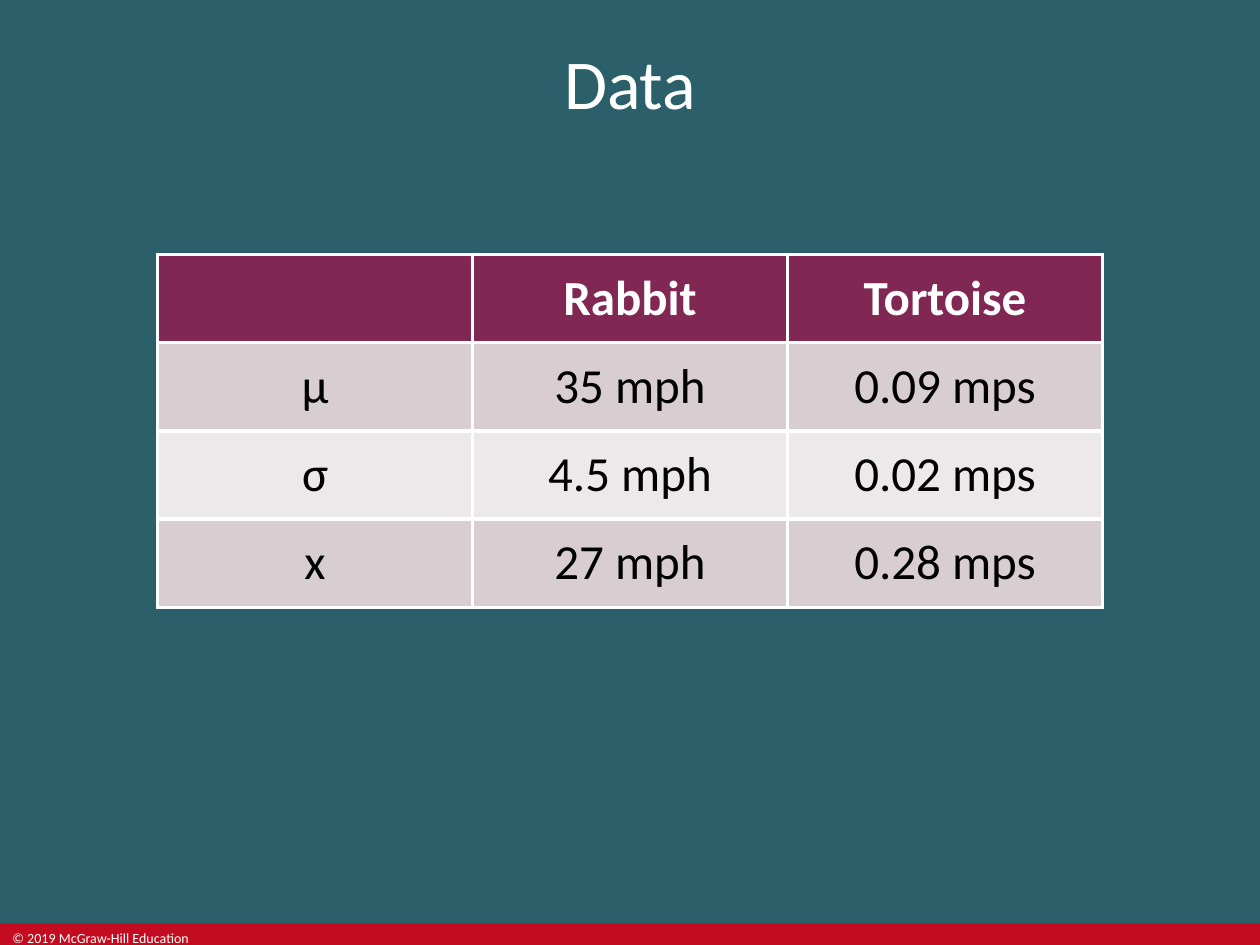
from lxml import etree
from pptx import Presentation
from pptx.dml.color import RGBColor
from pptx.enum import shapes, text
from pptx.oxml import ns
from pptx.util import Inches, Pt

TITLE = "Data"
COPYRIGHT = "© 2019 McGraw-Hill Education"
ROWS = [
    ("", "Rabbit", "Tortoise"),
    ("μ", "35 mph", "0.09 mps"),
    ("σ", "4.5 mph", "0.02 mps"),
    ("x", "27 mph", "0.28 mps"),
]

TEAL = RGBColor(0x2B, 0x60, 0x6A)
RED = RGBColor(0xC3, 0x0C, 0x20)
PLUM = RGBColor(0x80, 0x27, 0x54)
BANDS = [RGBColor(0xED, 0xE8, 0xE9), RGBColor(0xD8, 0xCD, 0xD1)]
WHITE = RGBColor(0xFF, 0xFF, 0xFF)
BLACK = RGBColor(0x00, 0x00, 0x00)

PAGE_W, PAGE_H = 10, 7.5
BAR_H = 0.17
COL_W, ROW_H = 2.5, 0.7
TABLE_TOP = 2.02
BORDER = Pt(2.25)


def place(shape, *box):
    for name, value in zip(("left", "top", "width", "height"), box):
        setattr(shape, name, Inches(value))


def write(para, words, size, color, bold=False, align=text.PP_ALIGN.CENTER):
    para.text = words
    para.alignment = align
    look = {"name": "Calibri", "size": Pt(size), "bold": bold}
    for name, value in look.items():
        setattr(para.font, name, value)
    para.font.color.rgb = color


def add_borders(cell):
    """Put a white line on all four sides; lines must precede the fill."""
    props = cell._tc.get_or_add_tcPr()
    for index, side in enumerate(("lnL", "lnR", "lnT", "lnB")):
        line = etree.Element(ns.qn(f"a:{side}"), w=str(BORDER))
        fill = etree.SubElement(line, ns.qn("a:solidFill"))
        etree.SubElement(fill, ns.qn("a:srgbClr"), val=str(WHITE))
        props.insert(index, line)


def add_footer(page):
    top = PAGE_H - BAR_H
    bar = page.shapes.add_shape(
        shapes.MSO_SHAPE.RECTANGLE,
        Inches(0), Inches(top), Inches(PAGE_W), Inches(BAR_H))
    bar.shadow.inherit = False
    bar.fill.solid()
    bar.fill.fore_color.rgb = RED
    bar.line.fill.background()

    notice = page.shapes.add_textbox(
        Inches(0), Inches(top), Inches(1.7), Inches(BAR_H))
    notice.text_frame.word_wrap = True
    write(notice.text_frame.paragraphs[0], COPYRIGHT, 8, WHITE,
          align=text.PP_ALIGN.LEFT)


def add_title(page):
    title = page.shapes.title
    place(title, 0, 0, PAGE_W, 1.3)
    title.text_frame.vertical_anchor = text.MSO_ANCHOR.MIDDLE
    write(title.text_frame.paragraphs[0], TITLE, 40, WHITE)


def add_data_table(page):
    count = len(ROWS[0])
    width = count * COL_W
    table = page.shapes.add_table(
        len(ROWS), count, Inches((PAGE_W - width) / 2), Inches(TABLE_TOP),
        Inches(width), Inches(len(ROWS) * ROW_H)).table
    for r, row in enumerate(ROWS):
        header = r == 0
        for c, words in enumerate(row):
            cell = table.cell(r, c)
            cell.fill.solid()
            cell.fill.fore_color.rgb = PLUM if header else BANDS[r % 2]
            cell.vertical_anchor = text.MSO_ANCHOR.MIDDLE
            write(cell.text_frame.paragraphs[0], words, 28,
                  WHITE if header else BLACK, bold=header)
            add_borders(cell)


def main():
    deck = Presentation()
    deck.slide_width, deck.slide_height = Inches(PAGE_W), Inches(PAGE_H)
    page = deck.slides.add_slide(deck.slide_layouts.get_by_name("Title Only"))
    page.background.fill.solid()
    page.background.fill.fore_color.rgb = TEAL
    add_footer(page)
    add_title(page)
    add_data_table(page)
    deck.save("out.pptx")


if __name__ == "__main__":
    main()
